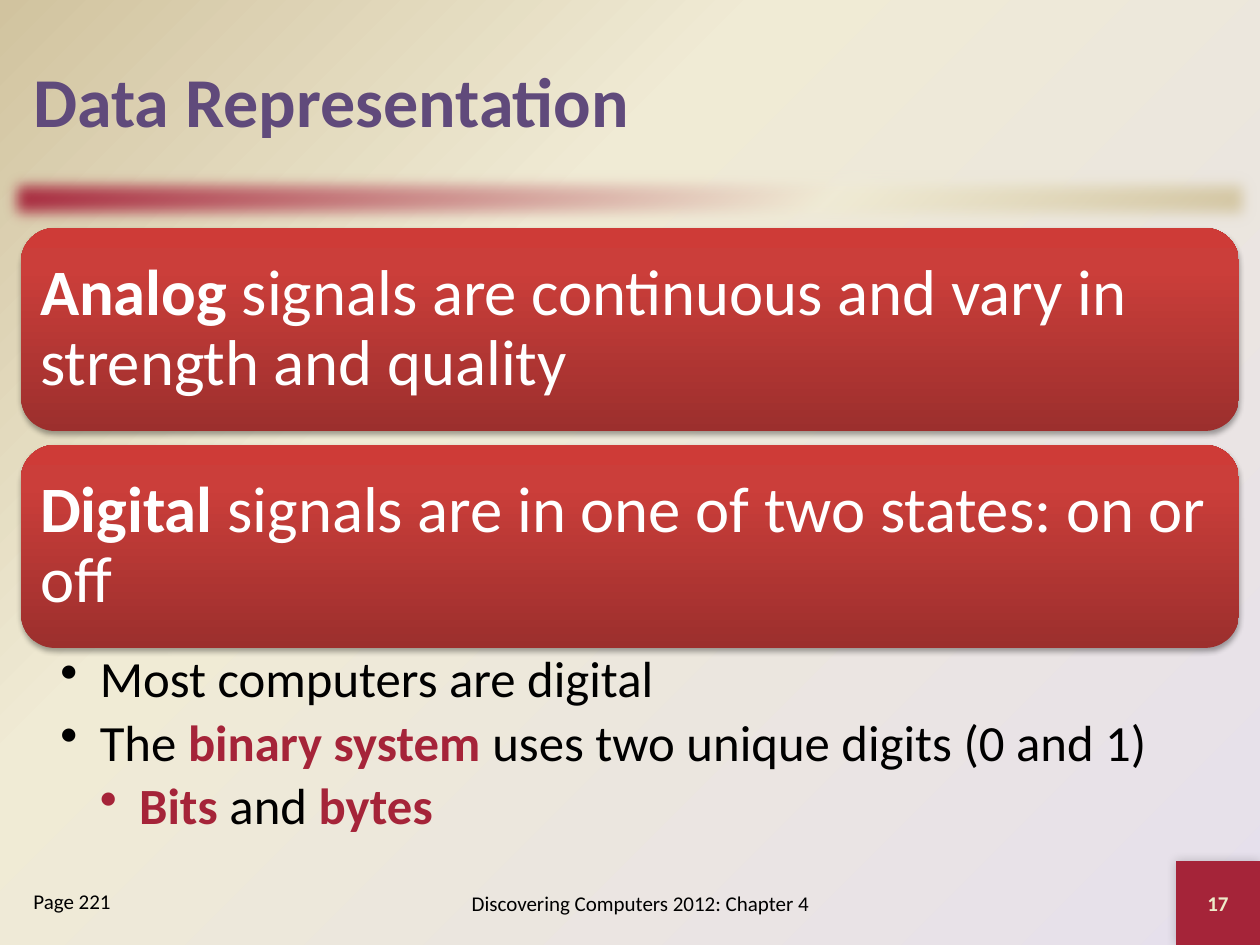
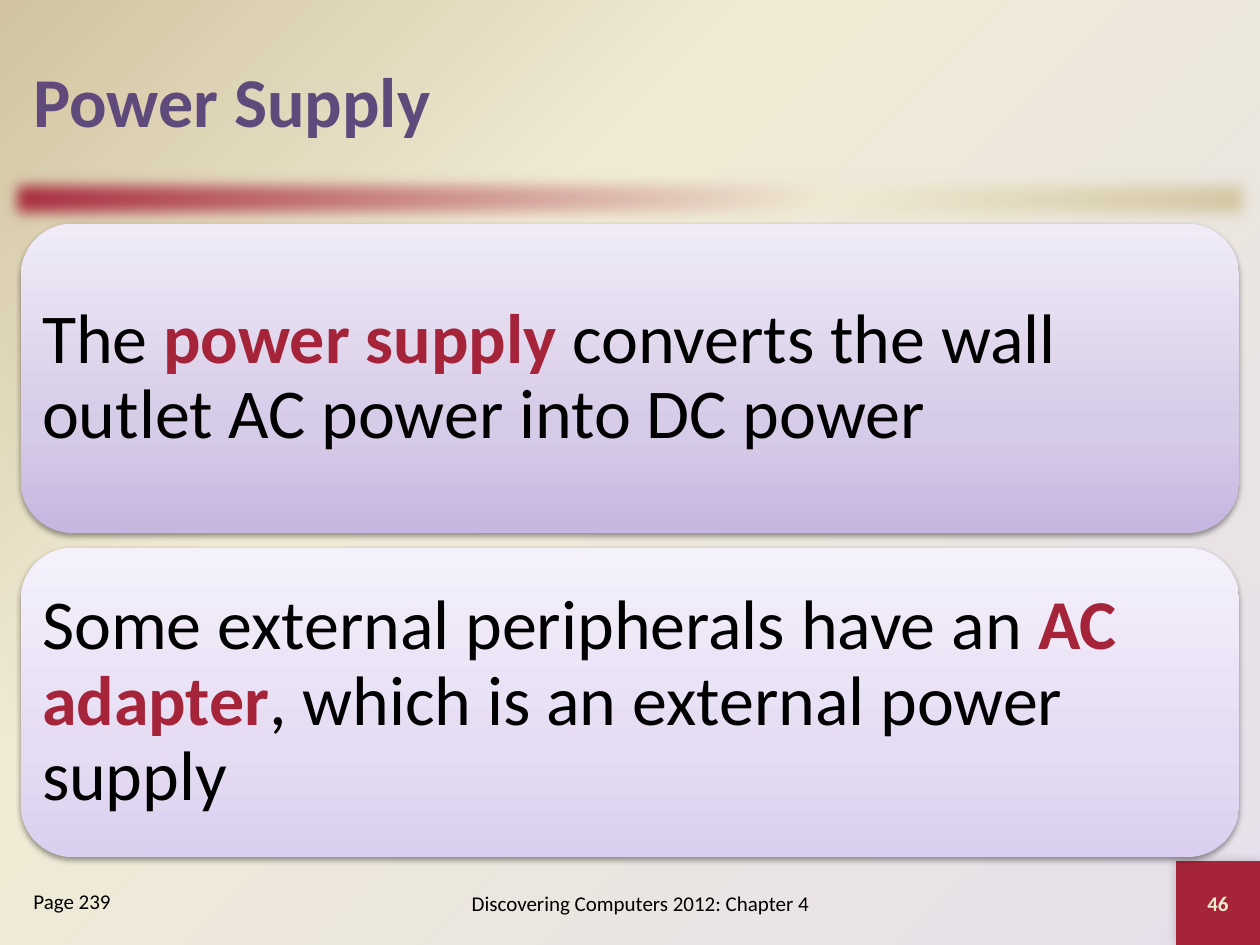
from lxml import etree
from pptx import Presentation
from pptx.dml.color import RGBColor
from pptx.enum.shapes import MSO_SHAPE as Preset
from pptx.enum.text import MSO_ANCHOR as Anchor, PP_ALIGN as Align
from pptx.oxml.ns import qn
from pptx.util import Pt

FONT = "Calibri"
CRIMSON, CREAM, TAN = "A52439", "F0EBD5", "D1C39F"
PURPLE, LILAC, PALE = "604A7B", "E6E0EC", "EEEBCA"
BLACK, WHITE = "000000", "FFFFFF"
MARGIN, CONTENT_WIDTH = 12, 696
CORNER_RATIO = 0.16667
CORNER_INSET = 0.2929

RED_CARD = [(0, "9C2F2D"), (80, "CB3E3A"), (100, "CE3B37")]
VIOLET_CARD = [(0, "C6B6E0"), (35, "D7CCE8"), (100, "F0EBF7")]
LAVENDER_CARD = [(0, "DBCFEF"), (35, "E5DCF3"), (100, "F5F1FB")]


def colour(hex_code):
    """Turn a hex string into a colour."""
    return RGBColor.from_string(hex_code)


def add_node(parent, tag, **attributes):
    """Append a DrawingML element and return it."""
    node = etree.SubElement(parent, qn(f"a:{tag}"))
    for key, value in attributes.items():
        node.set(key, str(value))
    return node


def paint_gradient(fill, owner, stops, angle=None):
    """Fill with a linear gradient, or a circular one from the lower right."""
    fill.solid()
    solid = owner.find(f".//{qn('a:solidFill')}")
    gradient = etree.Element(qn("a:gradFill"), rotWithShape="1")
    stop_list = add_node(gradient, "gsLst")
    for position, hex_code in stops:
        stop = add_node(stop_list, "gs", pos=position * 1000)
        add_node(stop, "srgbClr", val=hex_code)
    if angle is None:
        circle = add_node(gradient, "path", path="circle")
        add_node(circle, "fillToRect", l=100000, t=100000)
    else:
        add_node(gradient, "lin", ang=angle * 60000, scaled=0)
    solid.getparent().replace(solid, gradient)


def add_plain_shape(slide, preset, left, top, width, height):
    """Add a shape without outline or inherited shadow."""
    shape = slide.shapes.add_shape(preset, Pt(left), Pt(top), Pt(width), Pt(height))
    shape.shadow.inherit = False
    shape.line.fill.background()
    return shape


def effects_of(shape):
    """Return the effect list of a shape."""
    return shape.element.spPr.find(qn("a:effectLst"))


def cast_shadow(shape, alpha, blur, distance, angle):
    """Give a shape a soft black shadow."""
    shadow = add_node(effects_of(shape), "outerShdw", blurRad=Pt(blur),
                      dist=Pt(distance), dir=angle * 60000, rotWithShape=0)
    add_node(add_node(shadow, "srgbClr", val=BLACK), "alpha", val=alpha * 1000)


def write_runs(paragraph, marked, size, ink, strong_ink):
    """Write text in which parts between asterisks are bold and tinted."""
    for index, part in enumerate(marked.split("*")):
        if part:
            strong = index % 2 == 1
            run = paragraph.add_run()
            run.text = part
            run.font.name, run.font.size, run.font.bold = FONT, Pt(size), strong
            run.font.color.rgb = colour(strong_ink if strong else ink)


def set_insets(frame, left, top, right, bottom):
    """Set the inner margins of a text frame."""
    frame.margin_left, frame.margin_top = Pt(left), Pt(top)
    frame.margin_right, frame.margin_bottom = Pt(right), Pt(bottom)


def add_label(slide, text, left, top, width, height, size=12, ink=BLACK,
              bold=False, align=Align.LEFT, anchor=Anchor.MIDDLE):
    """Add a one-line text box."""
    label = slide.shapes.add_textbox(Pt(left), Pt(top), Pt(width), Pt(height))
    frame = label.text_frame
    frame.word_wrap, frame.vertical_anchor = True, anchor
    frame.text = text
    line = frame.paragraphs[0]
    line.alignment = align
    font = line.runs[0].font
    font.name, font.size, font.bold = FONT, Pt(size), bold
    font.color.rgb = colour(ink)


def add_card(slide, marked, top, height, stops, size, inset, ink, strong_ink, shadow):
    """Add a rounded gradient card holding a statement."""
    card = add_plain_shape(slide, Preset.ROUNDED_RECTANGLE, MARGIN, top, CONTENT_WIDTH, height)
    paint_gradient(card.fill, card.element, stops, 270)
    cast_shadow(card, *shadow)
    frame = card.text_frame
    frame.word_wrap, frame.vertical_anchor = True, Anchor.MIDDLE
    padding = round(inset - height * CORNER_RATIO * CORNER_INSET, 1)
    set_insets(frame, *[padding] * 4)
    statement = frame.paragraphs[0]
    statement.alignment, statement.line_spacing = Align.LEFT, 0.9
    write_runs(statement, marked, size, ink, strong_ink)


def add_bullets(slide, items, top, height, size=29, indent=22.5):
    """Add a bulleted list of (level, text) items."""
    bullets = slide.shapes.add_textbox(Pt(MARGIN), Pt(top), Pt(CONTENT_WIDTH), Pt(height))
    frame = bullets.text_frame
    frame.word_wrap = True
    set_insets(frame, indent, 3.6, 21, 3.6)
    for index, (level, marked) in enumerate(items):
        item = frame.add_paragraph() if index else frame.paragraphs[0]
        item.level, item.line_spacing, item.space_after = level, 0.9, Pt(5)
        properties = item._p.get_or_add_pPr()
        properties.set("marL", str(Pt(indent * level)))
        properties.set("indent", str(Pt(-indent)))
        add_node(properties, "buChar", char="•")
        write_runs(item, marked, size, BLACK, CRIMSON)


def add_base_slide(deck, title, page, number):
    """Add a slide with background, title, band and footers."""
    slide = deck.slides.add_slide(deck.slide_layouts[6])
    paint_gradient(slide.background.fill, slide.element,
                   [(0, LILAC), (65, CREAM), (100, TAN)])
    band = add_plain_shape(slide, Preset.RECTANGLE, 0, 96, 720, 36)
    paint_gradient(band.fill, band.element, [(0, CRIMSON), (65, CREAM), (100, TAN)], 45)
    add_node(effects_of(band), "softEdge", rad=Pt(9))
    corner = add_plain_shape(slide, Preset.RECTANGLE, 672, 492, 48, 48)
    corner.fill.solid()
    corner.fill.fore_color.rgb = colour(CRIMSON)
    cast_shadow(corner, 20, 6, 0, 225)
    add_label(slide, title, MARGIN, 12, CONTENT_WIDTH, 90, 40, PURPLE, True)
    add_label(slide, "Discovering Computers 2012: Chapter 4", 216, 498, 300, 36,
              align=Align.CENTER)
    add_label(slide, number, 672, 492, 48, 48, ink=PALE, bold=True, align=Align.CENTER)
    add_label(slide, page, MARGIN, 504, 132, 36, anchor=Anchor.TOP)
    return slide


def add_data_representation(deck):
    """Build the slide on analog and digital signals."""
    slide = add_base_slide(deck, "Data Representation", "Page 221", "17")
    signals = ["*Analog* signals are continuous and vary in strength and quality",
               "*Digital* signals are in one of two states: on or off"]
    for row, signal in enumerate(signals):
        add_card(slide, signal, 130.3 + row * 124, 116, RED_CARD, 37, 11,
                 WHITE, WHITE, (35, 3.1, 1.8, 90))
    add_bullets(slide, [(1, "Most computers are digital"),
                        (1, "The *binary system *uses two unique digits (0 and 1)"),
                        (2, "*Bits* and *bytes*")], 370, 117.4)


def add_power_supply(deck):
    """Build the slide on power supplies."""
    slide = add_base_slide(deck, "Power Supply", "Page 239", "46")
    supplies = [("The *power supply *converts the wall outlet AC power into DC power",
                 VIOLET_CARD),
                ("Some external peripherals have an *AC adapter*, which is an external "
                 "power supply", LAVENDER_CARD)]
    for row, (supply, stops) in enumerate(supplies):
        add_card(slide, supply, 128 + row * 185.2, 176.6, stops, 40, 12,
                 BLACK, CRIMSON, (38, 3.1, 1.6, 90))


def main():
    """Build and save the deck."""
    deck = Presentation()
    deck.slide_width, deck.slide_height = Pt(720), Pt(540)
    add_data_representation(deck)
    add_power_supply(deck)
    deck.save("out.pptx")


if __name__ == "__main__":
    main()
